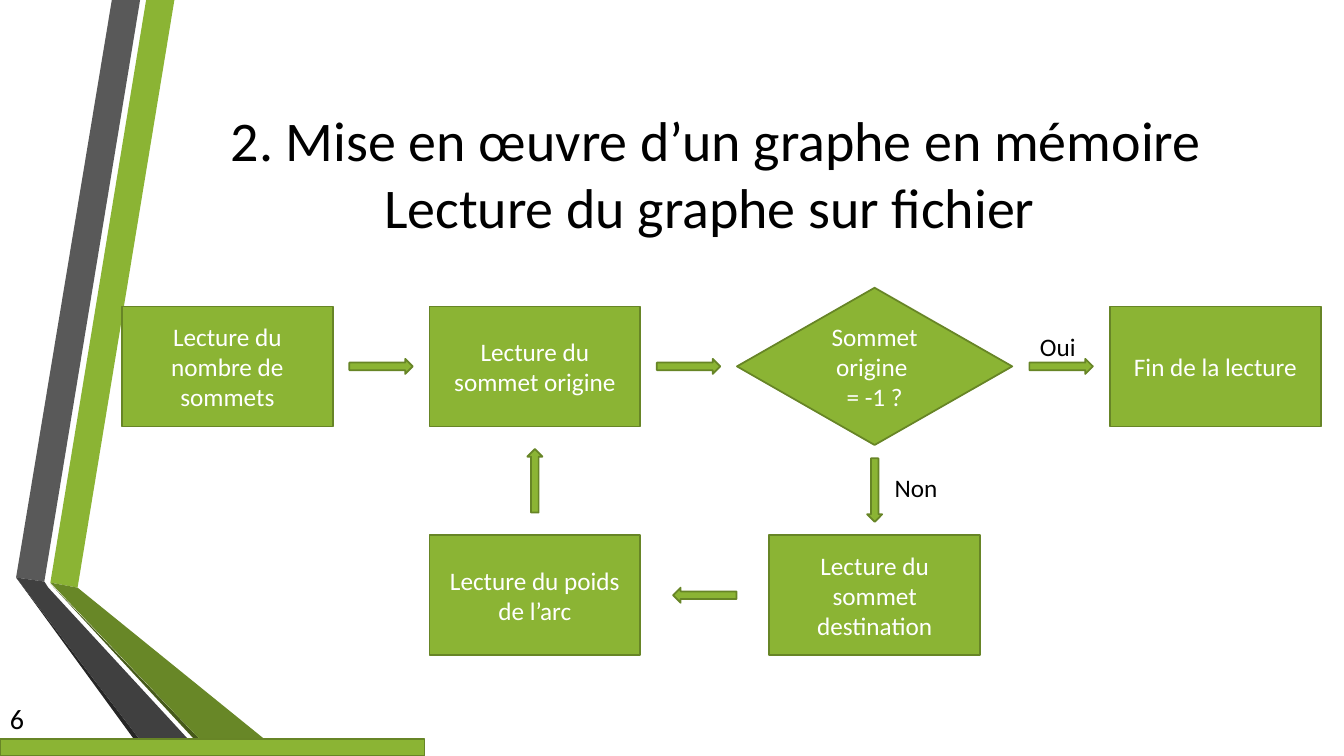
"""Builds a slide with the flowchart for reading a graph from a file."""
from typing import NamedTuple, Optional

from pptx import Presentation
from pptx.dml.color import RGBColor
from pptx.enum.shapes import MSO_SHAPE
from pptx.enum.text import MSO_ANCHOR, MSO_AUTO_SIZE, PP_ALIGN
from pptx.util import Inches, Pt

PROCESS = MSO_SHAPE.FLOWCHART_PROCESS
DECISION = MSO_SHAPE.FLOWCHART_DECISION
ARROW = MSO_SHAPE.RIGHT_ARROW
RECTANGLE = MSO_SHAPE.RECTANGLE
MIDDLE, TOP = MSO_ANCHOR.MIDDLE, MSO_ANCHOR.TOP
CENTER, LEFT = PP_ALIGN.CENTER, PP_ALIGN.LEFT
NO_AUTOFIT = MSO_AUTO_SIZE.NONE

FONT = "Calibri"
BLACK = RGBColor(0x00, 0x00, 0x00)
WHITE = RGBColor(0xFF, 0xFF, 0xFF)
GREEN = RGBColor(0x8B, 0xB4, 0x34)
GREEN_LINE = RGBColor(0x67, 0x85, 0x26)
GREEN_SHADE = RGBColor(0x68, 0x87, 0x27)
GREEN_EDGE = RGBColor(0x46, 0x5A, 0x1A)
GREY = RGBColor(0x59, 0x59, 0x59)
GREY_SHADE = RGBColor(0x40, 0x40, 0x40)
GREY_EDGE = RGBColor(0x26, 0x26, 0x26)

SLIDE_W, SLIDE_H = 13.33, 7.5
COLUMNS = (2.255, 5.305, 8.675, 12.055)
ROWS = (3.635, 5.905)
SIZES = {PROCESS: (2.09, 1.19), DECISION: (2.73, 1.56)}
ARROW_W, ARROW_H = 0.63, 0.15
LABEL_W, LABEL_H = 0.95, 0.4


class Ribbon(NamedTuple):
    """One filled outline of the folded ribbons, in inches."""
    color: RGBColor
    points: tuple


class Step(NamedTuple):
    """A flowchart step placed on a column and a row."""
    col: int
    row: int
    lines: tuple
    kind: int = PROCESS

    @property
    def center(self) -> tuple:
        """Return the middle of the step."""
        return COLUMNS[self.col], ROWS[self.row]


class Link(NamedTuple):
    """An arrow between two steps, with a label offset from its middle."""
    start: str
    end: str
    label: Optional[str] = None
    dx: float = 0
    dy: float = 0


RIBBONS = (
    Ribbon(GREEN, ((0.5, 5.78), (0.77, 5.83), (1.73, 0), (1.45, 0))),
    Ribbon(GREY, ((1.39, 0), (1.11, 0), (0.16, 5.73), (0.44, 5.77))),
    Ribbon(GREY_EDGE, ((0.16, 5.73), (1.45, SLIDE_H), (1.51, SLIDE_H))),
    Ribbon(GREEN_EDGE, ((0.5, 5.79), (2.08, SLIDE_H), (2.14, SLIDE_H))),
    Ribbon(GREEN_SHADE, ((0.5, 5.78), (2.14, SLIDE_H), (2.83, SLIDE_H), (0.77, 5.83))),
    Ribbon(GREY_SHADE, ((2.02, SLIDE_H), (0.48, 5.83), (0.44, 5.77), (0.16, 5.73),
                        (1.51, SLIDE_H))),
)
STEPS = {
    "count": Step(0, 0, ("Lecture du nombre de sommets",)),
    "origin": Step(1, 0, ("Lecture du sommet origine",)),
    "test": Step(2, 0, ("Sommet origine ", "= -1 ?"), DECISION),
    "target": Step(2, 1, ("Lecture du sommet destination",)),
    "weight": Step(1, 1, ("Lecture du poids de l’arc",)),
    "end": Step(3, 0, ("Fin de la lecture",)),
}
LINKS = (
    Link("count", "origin"),
    Link("origin", "test"),
    Link("test", "end", "Oui", -0.31, -0.4),
    Link("test", "target", "Non", 0.1, -0.23),
    Link("target", "weight"),
    Link("weight", "origin"),
)


def write(shape, lines: tuple, size: int, color: RGBColor, align: int, anchor: int) -> None:
    """Fill a shape with one paragraph per line."""
    tf = shape.text_frame
    tf.word_wrap = True
    tf.auto_size = NO_AUTOFIT
    tf.vertical_anchor = anchor
    tf.text = "\n".join(lines)
    for p in tf.paragraphs:
        p.alignment = align
        p.font.name = FONT
        p.font.size = Pt(size)
        p.font.color.rgb = color


def add_box(slide, kind: int, left: float, top: float, width: float, height: float):
    """Add a green preset shape with a darker outline."""
    sp = slide.shapes.add_shape(kind, *map(Inches, (left, top, width, height)))
    sp.shadow.inherit = False
    sp.fill.solid()
    sp.fill.fore_color.rgb = GREEN
    sp.line.color.rgb = GREEN_LINE
    sp.line.width = Pt(1.25)
    return sp


def add_centered(slide, kind: int, x: float, y: float, width: float, height: float):
    """Add a green shape around a middle point."""
    return add_box(slide, kind, x - width / 2, y - height / 2, width, height)


def add_text(slide, text: str, left: float, top: float, width: float, size: int,
             anchor: int) -> None:
    """Add a one-line black text box."""
    box = slide.shapes.add_textbox(*map(Inches, (left, top, width, LABEL_H)))
    write(box, (text,), size, BLACK, LEFT, anchor)


def add_ribbon(slide, ribbon: Ribbon):
    """Draw one closed outline without a line."""
    start, *rest = [tuple(map(Inches, point)) for point in ribbon.points]
    builder = slide.shapes.build_freeform(*start)
    builder.add_line_segments(rest)
    sp = builder.convert_to_shape()
    sp.shadow.inherit = False
    sp.fill.solid()
    sp.fill.fore_color.rgb = ribbon.color
    sp.line.fill.background()
    return sp


def add_step(slide, step: Step) -> None:
    """Draw one step with its text."""
    sp = add_centered(slide, step.kind, *step.center, *SIZES[step.kind])
    write(sp, step.lines, 18, WHITE, CENTER, MIDDLE)


def add_link(slide, link: Link) -> None:
    """Draw an arrow in the middle of the gap between two steps."""
    start, end = STEPS[link.start], STEPS[link.end]
    (x1, y1), (x2, y2) = start.center, end.center
    axis = 0 if y1 == y2 else 1
    forward = 1 if (x2, y2)[axis] > (x1, y1)[axis] else -1
    shift = forward * (SIZES[start.kind][axis] - SIZES[end.kind][axis]) / 4
    x = (x1 + x2) / 2 + (0 if axis else shift)
    y = (y1 + y2) / 2 + (shift if axis else 0)
    sp = add_centered(slide, ARROW, x, y, ARROW_W, ARROW_H)
    sp.rotation = 90 * axis if forward > 0 else 180 + 90 * axis
    if link.label:
        add_text(slide, link.label, x + link.dx, y + link.dy, LABEL_W, 18, TOP)


def main() -> None:
    """Build and save the slide."""
    prs = Presentation()
    prs.slide_width, prs.slide_height = Inches(SLIDE_W), Inches(SLIDE_H)
    slide = prs.slides.add_slide(prs.slide_layouts[5])

    ribbons = [add_ribbon(slide, ribbon) for ribbon in RIBBONS]
    title = slide.shapes.title
    ribbons[-1].element.addnext(title.element)
    title.left, title.top, title.width, title.height = map(Inches, (1.62, 0.75, 10.96, 1.92))
    write(title, ("2. Mise en œuvre d’un graphe en mémoire Lecture du graphe sur fichier ",),
          40, BLACK, CENTER, MIDDLE)

    for step in STEPS.values():
        add_step(slide, step)
    for link in LINKS:
        add_link(slide, link)
    add_text(slide, "6", 0, 6.93, 0.6, 20, MIDDLE)
    add_box(slide, RECTANGLE, 0, 7.33, 4.21, 0.17)
    prs.save("out.pptx")


if __name__ == "__main__":
    main()
